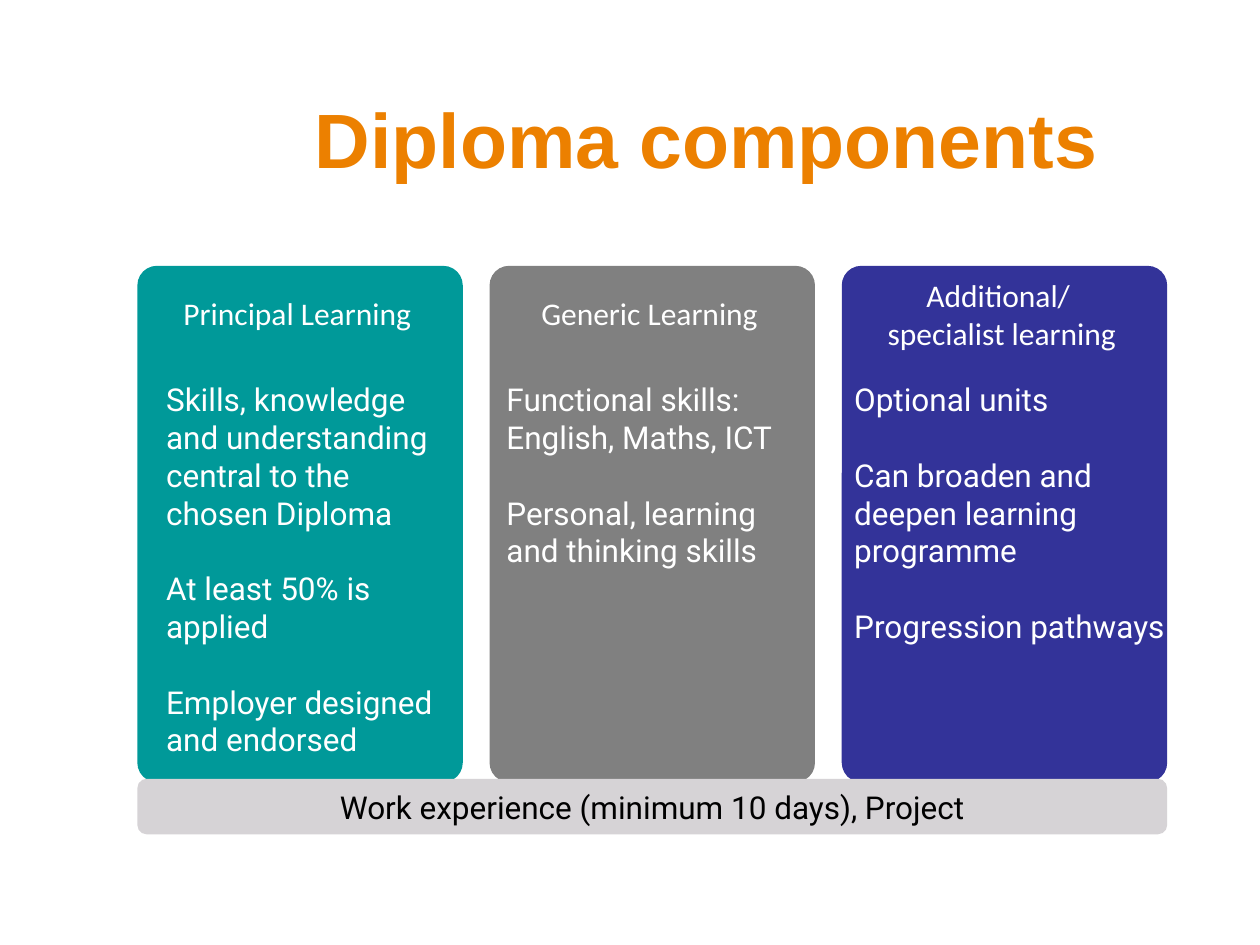
from pptx import Presentation
from pptx.dml.color import RGBColor
from pptx.enum.shapes import MSO_SHAPE as Shape
from pptx.enum.text import MSO_ANCHOR as Anchor, PP_ALIGN as Align
from pptx.util import Cm, Pt

ORANGE = RGBColor(0xEC, 0x80, 0x00)
TEAL = RGBColor(0x00, 0x99, 0x99)
GREY = RGBColor(0x80, 0x80, 0x80)
INDIGO = RGBColor(0x33, 0x33, 0x99)
SILVER = RGBColor(0xD6, 0xD3, 0xD6)
WHITE = RGBColor(0xFF, 0xFF, 0xFF)
BLACK = RGBColor(0x00, 0x00, 0x00)

LEFT, STEP = 2.77, 7.1
PANEL_TOP, PANEL_W, PANEL_H = 5.36, 6.56, 10.41
HEADING_W, HEADING_H = 6.45, 1.68
BODY_TOP = 7.54

# Heading, heading top, colour, body left, body width, body height, paragraphs
COLUMNS = [
    ("Principal Learning", 5.72, TEAL, 3.1, 6.17, 9.4,
     ["Skills, knowledge and understanding central to the chosen Diploma",
      "At least 50% is applied",
      "Employer designed and endorsed"]),
    ("Generic Learning", 5.72, GREY, 9.96, 6.17, 4.83,
     ["Functional skills: English, Maths, ICT",
      "Personal, learning and thinking skills"]),
    ("Additional/ \vspecialist learning", 5.36, INDIGO, 16.97, 6.76, 7.11,
     ["Optional units",
      "Can broaden and deepen learning programme",
      "Progression pathways"]),
]


def write(sp, paragraphs, font="Roboto", size=18, color=WHITE, bold=False,
          align=Align.LEFT, anchor=Anchor.TOP, wrap=True, gap=0):
    """Fill a shape with paragraphs, with a gap in points between them."""
    tf = sp.text_frame
    tf.word_wrap = wrap
    tf.vertical_anchor = anchor
    for i, text in enumerate(paragraphs):
        p = tf.add_paragraph() if i else tf.paragraphs[0]
        p.text = text
        p.alignment = align
        if i:
            p.space_before = Pt(gap)
        for r in p.runs:
            r.font.name = font
            r.font.size = Pt(size)
            r.font.bold = bold
            r.font.color.rgb = color


def add_text(s, x, y, w, h, paragraphs, **fmt):
    sp = s.shapes.add_textbox(Cm(x), Cm(y), Cm(w), Cm(h))
    write(sp, paragraphs, **fmt)


def add_rounded(s, x, y, w, h, fill=None, corner=0.167):
    sp = s.shapes.add_shape(Shape.ROUNDED_RECTANGLE, Cm(x), Cm(y), Cm(w), Cm(h))
    sp.adjustments[0] = corner
    sp.shadow.inherit = False
    sp.line.fill.background()
    if fill is None:
        sp.fill.background()
    else:
        sp.fill.solid()
        sp.fill.fore_color.rgb = fill
    return sp


def add_column(s, x, heading, heading_top, color, body_x, body_w, body_h, body):
    add_rounded(s, x, PANEL_TOP, PANEL_W, PANEL_H, fill=color, corner=0.06)
    sp = add_rounded(s, x, heading_top, HEADING_W, HEADING_H)
    write(sp, [heading], font="Calibri", align=Align.CENTER, wrap=False)
    add_text(s, body_x, BODY_TOP, body_w, body_h, body, gap=21.6)


def main():
    prs = Presentation()
    prs.slide_width, prs.slide_height = Cm(25.4), Cm(19.05)
    s = prs.slides.add_slide(prs.slide_layouts[6])

    # Title
    add_text(s, 6.1, 1.73, 18, 2.13, ["Diploma components"],
             font="Arial", size=44, color=ORANGE, bold=True)

    # Three learning columns
    for i, column in enumerate(COLUMNS):
        add_column(s, LEFT + i * STEP, *column)

    # Shared base bar
    bar = add_rounded(s, LEFT, 15.7, 2 * STEP + PANEL_W, 1.12, fill=SILVER)
    write(bar, ["Work experience (minimum 10 days), Project"], color=BLACK,
          align=Align.CENTER, anchor=Anchor.MIDDLE, wrap=False)

    prs.save("out.pptx")


if __name__ == "__main__":
    main()
